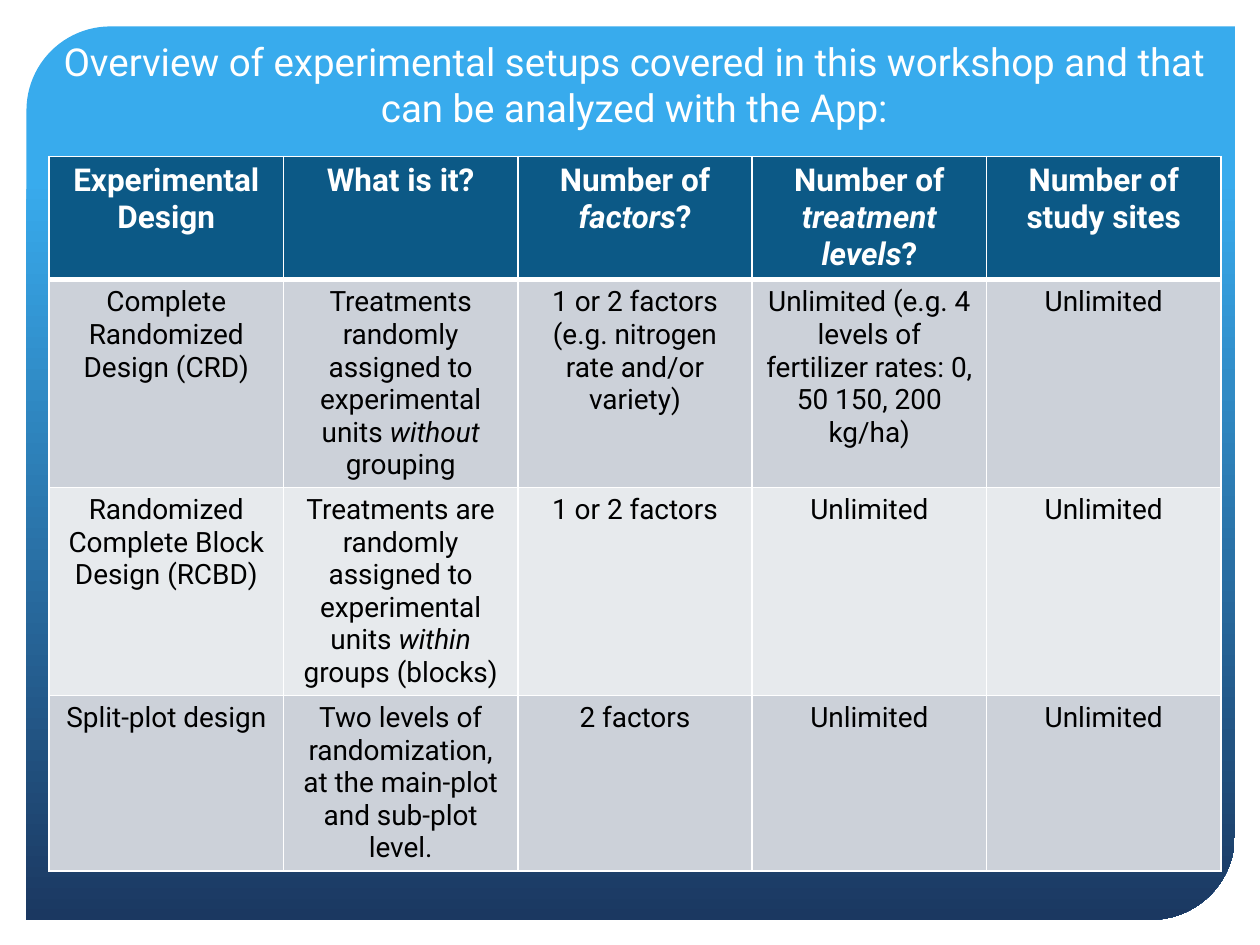
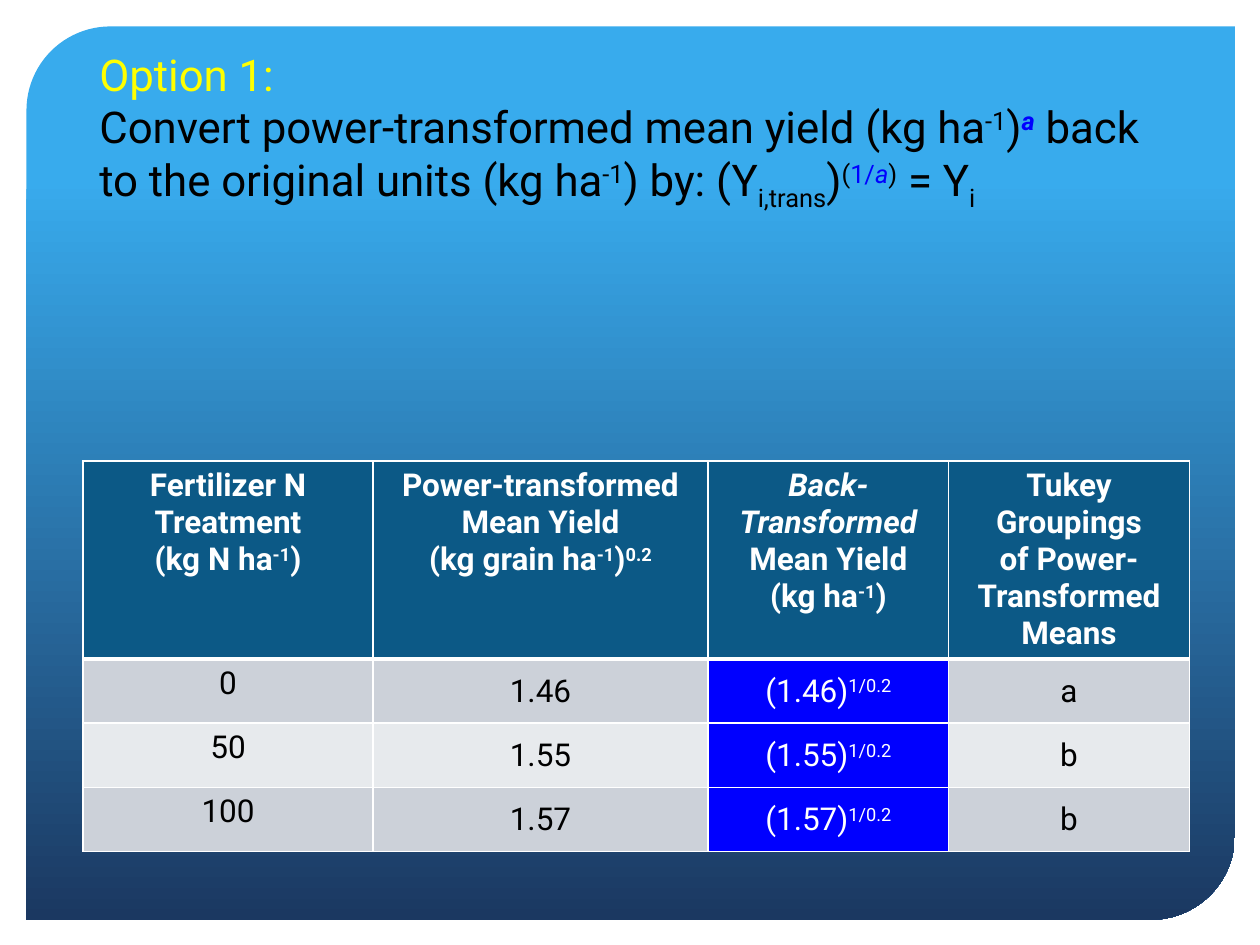
from dataclasses import dataclass
from typing import NamedTuple, Optional, Sequence, Union

import lxml.etree
import pptx
import pptx.dml.color
import pptx.enum.shapes
import pptx.enum.text
import pptx.oxml.ns
import pptx.util

Inches = pptx.util.Inches
Pt = pptx.util.Pt
Align = pptx.enum.text.PP_ALIGN
Anchor = pptx.enum.text.MSO_ANCHOR


@dataclass(frozen=True)
class Theme:
    font: str = "Roboto"
    white: str = "FFFFFF"
    black: str = "000000"
    yellow: str = "FFFF00"
    blue: str = "0000FF"
    sky: str = "38ABED"
    navy: str = "1B3861"
    head: str = "0C5986"
    bands: tuple[str, str] = ("CCD1D9", "E7EAED")
    title_size: int = 22
    note_size: int = 25
    head_size: int = 18
    body_size: int = 16
    thin: int = 1
    thick: int = 3


THEME = Theme()


class Run(NamedTuple):
    text: str
    base: int = 0
    slant: bool = False
    bold: Optional[bool] = None
    color: Optional[str] = None


class Look(NamedTuple):
    size: int
    color: str
    bold: bool = False
    align: Align = Align.CENTER


Line = Union[str, Sequence[Union[str, Run]]]
Cell = Union[str, list[Line]]


@dataclass(frozen=True)
class Grid:
    """A table; key is a marked column, snug sets body values tight and centred."""
    left: float
    top: float
    widths: Sequence[float]
    heights: Sequence[float]
    rows: Sequence[Sequence[Cell]]
    size: int
    key: Optional[int] = None
    snug: bool = False


def sup(text: str, **kind) -> Run:
    return Run(text, base=30, **kind)


def sub(text: str) -> Run:
    return Run(text, base=-25)


def slant(text: str) -> Run:
    return Run(text, slant=True)


def tint(code: str) -> pptx.dml.color.RGBColor:
    return pptx.dml.color.RGBColor.from_string(code)


def write(para, line: Line, look: Look) -> None:
    """Fill one paragraph; runs carry only what differs from its look."""
    para.alignment = look.align
    font = para.font
    font.name, font.size, font.bold = THEME.font, Pt(look.size), look.bold
    font.color.rgb = tint(look.color)
    for part in [line] if isinstance(line, str) else line:
        item = Run(part) if isinstance(part, str) else part
        run = para.add_run()
        run.text = item.text
        if item.slant:
            run.font.italic = True
        if item.bold is not None:
            run.font.bold = item.bold
        if item.color:
            run.font.color.rgb = tint(item.color)
        if item.base:
            run._r.get_or_add_rPr().set("baseline", str(item.base * 1000))


def write_all(frame, lines: Cell, look: Look) -> None:
    for i, line in enumerate([lines] if isinstance(lines, str) else lines):
        write(frame.add_paragraph() if i else frame.paragraphs[0], line, look)


def edge(cell, row: int) -> None:
    """Draw white cell borders, with a thick rule under the header row."""
    props = cell._tc.get_or_add_tcPr()
    heavy = {0: "lnB", 1: "lnT"}.get(row)
    for i, side in enumerate(("lnL", "lnR", "lnT", "lnB")):
        width = THEME.thick if side == heavy else THEME.thin
        rule = lxml.etree.Element(pptx.oxml.ns.qn(f"a:{side}"), w=str(Pt(width)))
        fill = lxml.etree.SubElement(rule, pptx.oxml.ns.qn("a:solidFill"))
        lxml.etree.SubElement(fill, pptx.oxml.ns.qn("a:srgbClr"), val=THEME.white)
        props.insert(i, rule)


def draw_grid(slide, grid: Grid) -> None:
    frame = slide.shapes.add_table(
        len(grid.rows), len(grid.widths), Inches(grid.left), Inches(grid.top),
        Inches(sum(grid.widths)), Inches(sum(grid.heights)))
    table = frame.table
    table.horz_banding = False
    for col, width in zip(table.columns, grid.widths):
        col.width = Inches(width)
    for row, height in zip(table.rows, grid.heights):
        row.height = Inches(height)
    for r, row in enumerate(grid.rows):
        for c, lines in enumerate(row):
            cell = table.cell(r, c)
            look = Look(grid.size, THEME.black)
            back = THEME.bands[(r - 1) % 2]
            if r == 0:
                look, back = Look(THEME.head_size, THEME.white, True), THEME.head
            elif c == grid.key:
                look, back = Look(grid.size, THEME.white), THEME.blue
            if grid.snug and r and c:
                cell.vertical_anchor = Anchor.MIDDLE
                cell.margin_left = cell.margin_right = cell.margin_top = Inches(0.01)
                cell.margin_bottom = 0
            cell.fill.solid()
            cell.fill.fore_color.rgb = tint(back)
            edge(cell, r)
            write_all(cell.text_frame, lines, look)


def add_slide(deck, layout: int):
    """Add a slide with the rounded gradient panel behind everything."""
    slide = deck.slides.add_slide(deck.slide_layouts[layout])
    panel = slide.shapes.add_shape(
        pptx.enum.shapes.MSO_SHAPE.ROUND_2_DIAG_RECTANGLE,
        Inches(0.21), Inches(0.21), Inches(9.59), Inches(7.09))
    panel.adjustments[0], panel.adjustments[1] = 0.094, 0
    panel.shadow.inherit = False
    panel.line.fill.background()
    panel.fill.gradient()
    panel.fill.gradient_angle = 270
    stops = ((0.17, THEME.sky), (1, THEME.navy))
    for stop, (place, code) in zip(panel.fill.gradient_stops, stops):
        stop.position = place
        stop.color.rgb = tint(code)
    slide.shapes._spTree.insert(2, panel._element)
    return slide


DESIGNS = Grid(
    left=0.39, top=1.24, widths=[1.86] * 5, heights=[0.98, 1.65, 1.65, 1.39],
    size=THEME.body_size,
    rows=[
        ["Experimental Design", "What is it?",
         [["Number of ", slant("factors"), "?"]],
         [["Number of ", slant("treatment levels"), "?"]],
         "Number of study sites"],
        ["Complete Randomized Design (CRD)",
         [["Treatments randomly assigned to experimental units ",
           slant("without"), " grouping"]],
         "1 or 2 factors (e.g. nitrogen rate and/or variety)",
         "Unlimited (e.g. 4 levels of fertilizer rates: 0, 50 150, 200 kg/ha)",
         "Unlimited"],
        ["Randomized Complete Block Design (RCBD)",
         [["Treatments are randomly assigned to experimental units ",
           slant("within"), " groups (blocks)"]],
         "1 or 2 factors", "Unlimited", "Unlimited"],
        ["Split-plot design",
         "Two levels of randomization, at the main-plot and sub-plot level.",
         "2 factors", "Unlimited", "Unlimited"],
    ])

MEANS = [("0", "1.46", "a"), ("50", "1.55", "b"), ("100", "1.57", "b")]

YIELDS = Grid(
    left=0.66, top=3.66, widths=[2.3, 2.66, 1.91, 1.91],
    heights=[1.57, 0.51, 0.51, 0.51], size=THEME.head_size, key=2, snug=True,
    rows=[
        [["Fertilizer N Treatment", ["(kg N ha", sup("-1"), ")"]],
         ["Power-transformed Mean Yield",
          ["(kg grain ha", sup("-1"), ")", sup("0.2")]],
         [[slant("Back-Transformed "), "Mean Yield"],
          ["(kg ha", sup("-1"), ")"]],
         ["Tukey Groupings", "of Power-Transformed Means"]],
        *([rate, mean, [[f"({mean})", sup("1/0.2")]], group]
          for rate, mean, group in MEANS),
    ])

FORMULA = [
    "Convert power-transformed mean yield (kg ha", sup("-1"), ")",
    sup("a", slant=True, bold=True, color=THEME.blue),
    " back to the original units (kg ha", sup("-1"), ") by: (Y",
    sub("i,trans"), ")", sup("("), sup("1/", color=THEME.blue),
    sup("a", slant=True, color=THEME.blue), sup(")"), " = Y", sub("i"),
]


def show_designs(deck) -> None:
    slide = add_slide(deck, 5)
    title = slide.shapes.title
    title.left, title.top = Inches(0.3), Inches(0.1)
    title.width, title.height = Inches(9.47), Inches(1.14)
    frame = title.text_frame
    frame.auto_size = pptx.enum.text.MSO_AUTO_SIZE.NONE
    frame.vertical_anchor = Anchor.MIDDLE
    write_all(frame, "Overview of experimental setups covered in this workshop "
              "and that can be analyzed with the App:",
              Look(THEME.title_size, THEME.white))
    draw_grid(slide, DESIGNS)


def show_yields(deck) -> None:
    slide = add_slide(deck, 6)
    draw_grid(slide, YIELDS)
    box = slide.shapes.add_textbox(
        Inches(0.69), Inches(0.33), Inches(8.67), Inches(1.36))
    frame = box.text_frame
    frame.word_wrap = True
    look = Look(THEME.note_size, THEME.yellow, align=Align.LEFT)
    write(frame.paragraphs[0], "Option 1:", look)
    write(frame.add_paragraph(), FORMULA, look._replace(color=THEME.black))


def main() -> None:
    deck = pptx.Presentation()
    deck.slide_width, deck.slide_height = Inches(10), Inches(7.5)
    show_designs(deck)
    show_yields(deck)
    deck.save("out.pptx")


if __name__ == "__main__":
    main()
